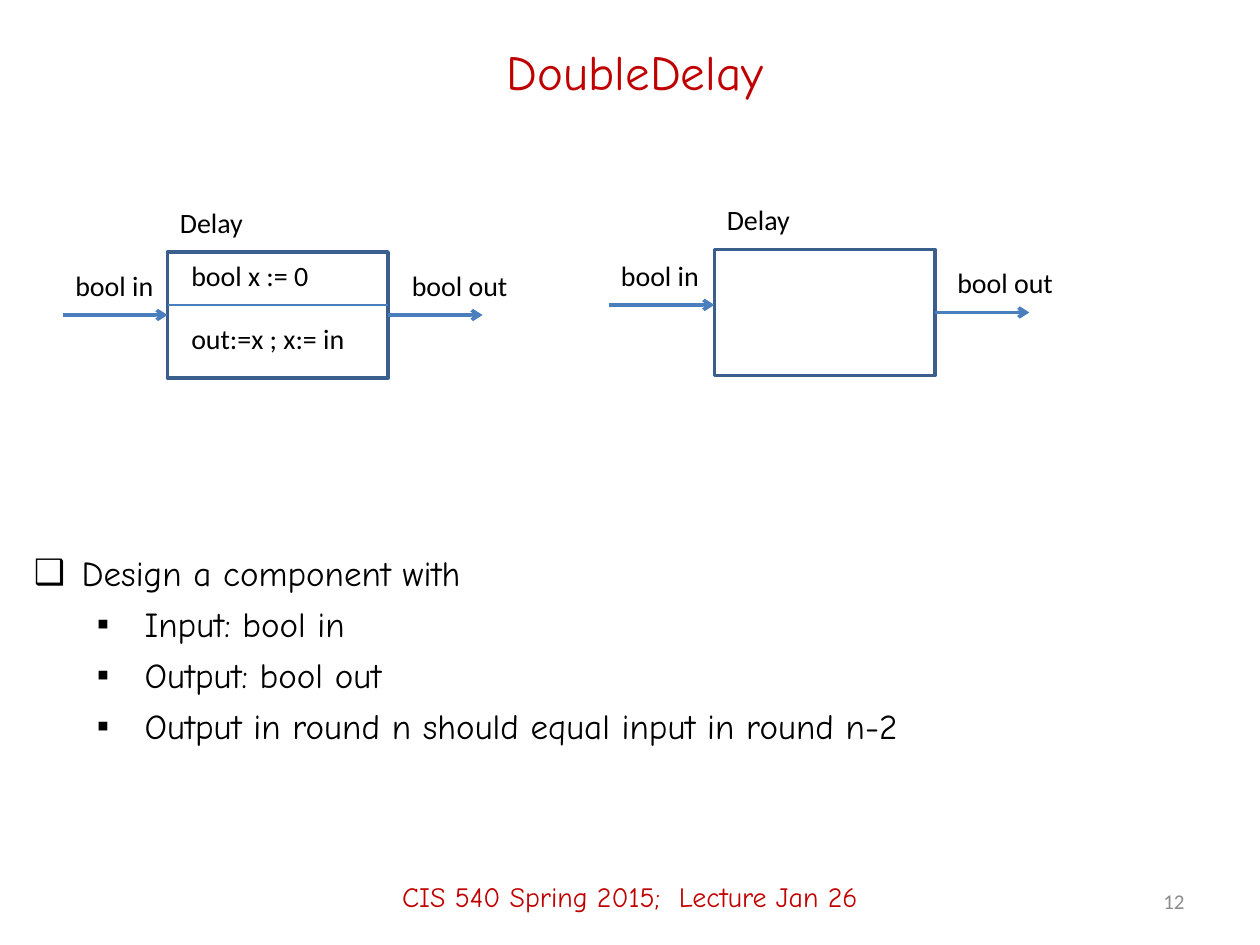
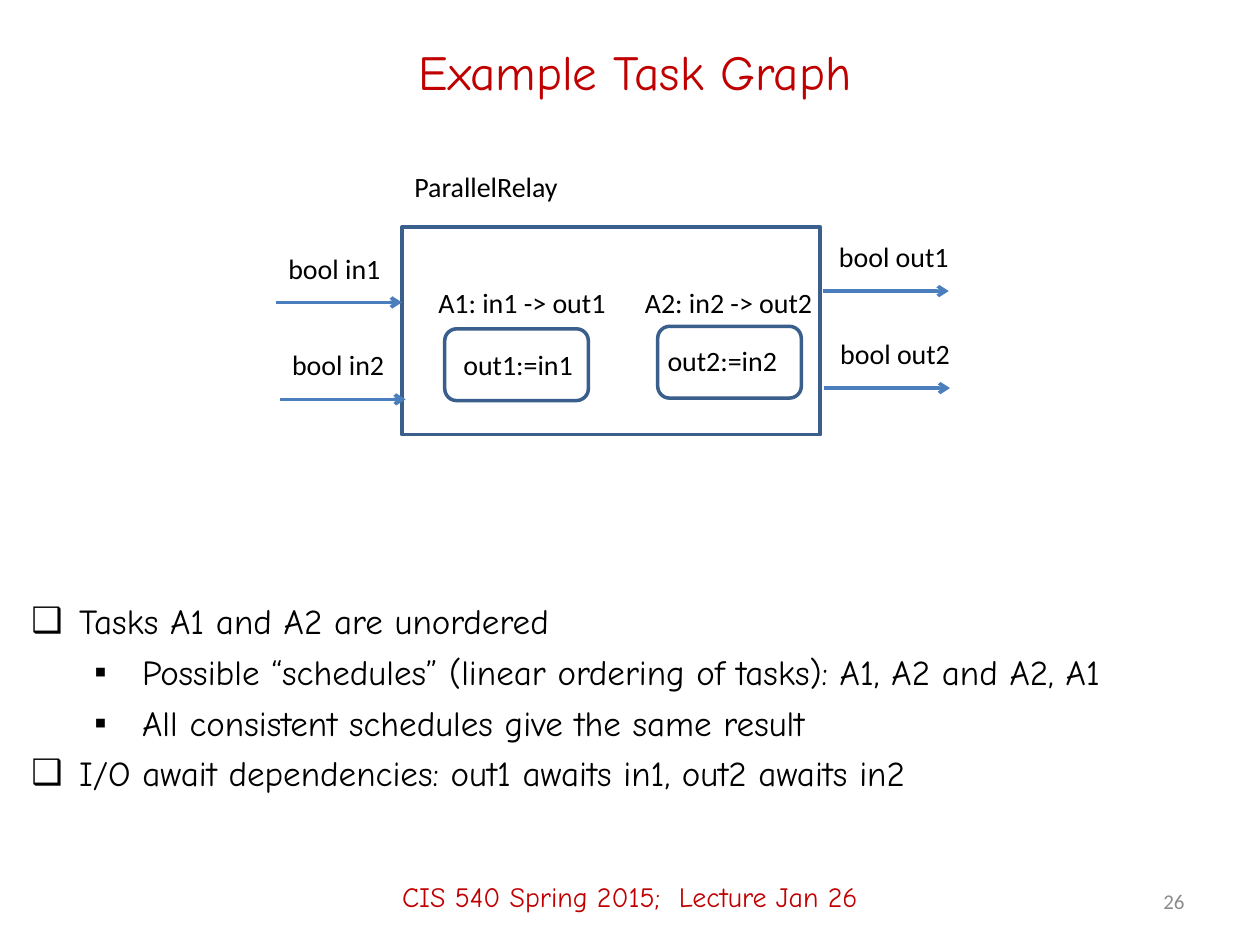
import dataclasses

import pptx
import pptx.util
import pptx.dml.color
import pptx.enum.shapes
import pptx.enum.text
import pptx.oxml.ns
from lxml import etree


@dataclasses.dataclass(frozen=True)
class Theme:
    red: str = "C00000"
    black: str = "000000"
    gray: str = "8C8C8C"
    outline: str = "3A5F8C"
    wire: str = "4B7EBC"
    hand: str = "Comic Neue"
    sans: str = "Calibri"
    title: int = 28
    body: int = 20
    label: int = 16
    number: int = 12
    gap: int = 5
    thick: float = 2
    thin: float = 0.75


theme = Theme()
PX = 9144
LABEL_H = 37
BULLETS = [("❑", 38), ("▪", 88)]
HANGING = 38
FOOTER = "CIS 540 Spring 2015;  Lecture Jan 26"

RGB = pptx.dml.color.RGBColor.from_string
qn = pptx.oxml.ns.qn
ALIGN = pptx.enum.text.PP_ALIGN
ANCHOR = pptx.enum.text.MSO_ANCHOR
SHAPE = pptx.enum.shapes.MSO_SHAPE


def add_text(s, box, items, size, font, color, align=ALIGN.LEFT, anchor=ANCHOR.TOP, wrap=True):
    tf = s.shapes.add_textbox(*[v * PX for v in box]).text_frame
    tf.word_wrap = wrap
    tf.vertical_anchor = anchor
    for i, (level, text) in enumerate(items):
        p = tf.paragraphs[0] if i == 0 else tf.add_paragraph()
        p.text = text
        p.alignment = align
        if i > 0:
            p.space_before = pptx.util.Pt(theme.gap)
        if level is not None:
            p.level = level
            char, margin = BULLETS[level]
            pPr = p._p.get_or_add_pPr()
            pPr.set("marL", str(margin * PX))
            pPr.set("indent", str(-HANGING * PX))
            etree.SubElement(pPr, qn("a:buFont")).set("typeface", "Arial")
            etree.SubElement(pPr, qn("a:buChar")).set("char", char)
        for r in p.runs:
            r.font.size = pptx.util.Pt(size)
            r.font.name = font
            r.font.color.rgb = RGB(color)


def add_wire(s, x1, x2, y, width, arrow):
    ln = s.shapes.add_connector(
        pptx.enum.shapes.MSO_CONNECTOR.STRAIGHT, x1 * PX, y * PX, x2 * PX, y * PX
    )
    ln.line.color.rgb = RGB(theme.wire)
    ln.line.width = pptx.util.Pt(width)
    if arrow:
        etree.SubElement(ln.line._get_or_add_ln(), qn("a:tailEnd")).set("type", "arrow")
    etree.SubElement(ln._element.spPr, qn("a:effectLst"))


slides = [
    {
        "title": "DoubleDelay",
        "number": "12",
        "boxes": [
            (SHAPE.RECTANGLE, 133, 200, 175, 100),
            (SHAPE.RECTANGLE, 567, 198, 175, 100),
        ],
        "arrows": [(308, 383, 250), (50, 133, 250), (742, 817, 248), (483, 567, 242)],
        "dividers": [(133, 308, 242)],
        "labels": [
            ("bool in", 50, 208, 83),
            ("bool x := 0", 142, 200, 114),
            ("out:=x ; x:= in", 142, 250, 143),
            ("bool out", 317, 208, 97),
            ("Delay", 133, 158, 71),
            ("bool in", 483, 200, 83),
            ("bool out", 750, 206, 97),
            ("Delay", 567, 156, 71),
        ],
        "body_box": (17, 433, 967, 175),
        "body": [
            (0, "Design a component with"),
            (1, "Input: bool in"),
            (1, "Output: bool out"),
            (1, "Output in round n should equal input in round n-2"),
        ],
    },
    {
        "title": "Example Task Graph",
        "number": "26",
        "boxes": [
            (SHAPE.RECTANGLE, 319, 180, 332, 165),
            (SHAPE.ROUNDED_RECTANGLE, 353, 261, 114, 57),
            (SHAPE.ROUNDED_RECTANGLE, 522, 259, 114, 57),
        ],
        "arrows": [(653, 753, 231), (219, 319, 240), (222, 322, 317), (654, 754, 308)],
        "dividers": [],
        "labels": [
            ("ParallelRelay", 319, 130, 135),
            ("bool in1", 219, 195, 94),
            ("bool in2", 222, 271, 94),
            ("bool out1", 656, 185, 109),
            ("bool out2", 657, 262, 109),
            ("A1: in1 -> out1", 338, 222, 155),
            ("A2: in2 -> out2", 502, 222, 155),
            ("out1:=in1", 358, 271, 113),
            ("out2:=in2", 520, 268, 113),
        ],
        "body_box": (15, 471, 977, 158),
        "body": [
            (0, "Tasks A1 and A2 are unordered"),
            (1, "Possible “schedules” (linear ordering of tasks): A1, A2 and A2, A1"),
            (1, "All consistent schedules give the same result"),
            (0, "I/O await dependencies: out1 awaits in1, out2 awaits in2"),
        ],
    },
]

prs = pptx.Presentation()
prs.slide_width = 1000 * PX
prs.slide_height = 750 * PX

for page in slides:
    s = prs.slides.add_slide(prs.slide_layouts[6])
    add_text(s, (75, 17, 858, 78), [(None, page["title"])], theme.title, theme.hand,
             theme.red, ALIGN.CENTER, ANCHOR.MIDDLE)
    add_text(s, page["body_box"], page["body"], theme.body, theme.hand, theme.black)

    for kind, *box in page["boxes"]:
        sp = s.shapes.add_shape(kind, *[v * PX for v in box])
        sp.shadow.inherit = False
        sp.fill.background()
        sp.line.color.rgb = RGB(theme.outline)
        sp.line.width = pptx.util.Pt(theme.thick)

    for x1, x2, y in page["arrows"]:
        add_wire(s, x1, x2, y, theme.thick, True)
    for x1, x2, y in page["dividers"]:
        add_wire(s, x1, x2, y, theme.thin, False)

    for text, x, y, w in page["labels"]:
        add_text(s, (x, y, w, LABEL_H), [(None, text)], theme.label, theme.sans,
                 theme.black, wrap=False)

    add_text(s, (0, 672, 1000, 78), [(None, FOOTER)], theme.label, theme.hand,
             theme.red, ALIGN.CENTER, ANCHOR.MIDDLE)
    add_text(s, (717, 695, 233, 40), [(None, page["number"])], theme.number, theme.sans,
             theme.gray, ALIGN.RIGHT, ANCHOR.MIDDLE)

prs.save("out.pptx")
